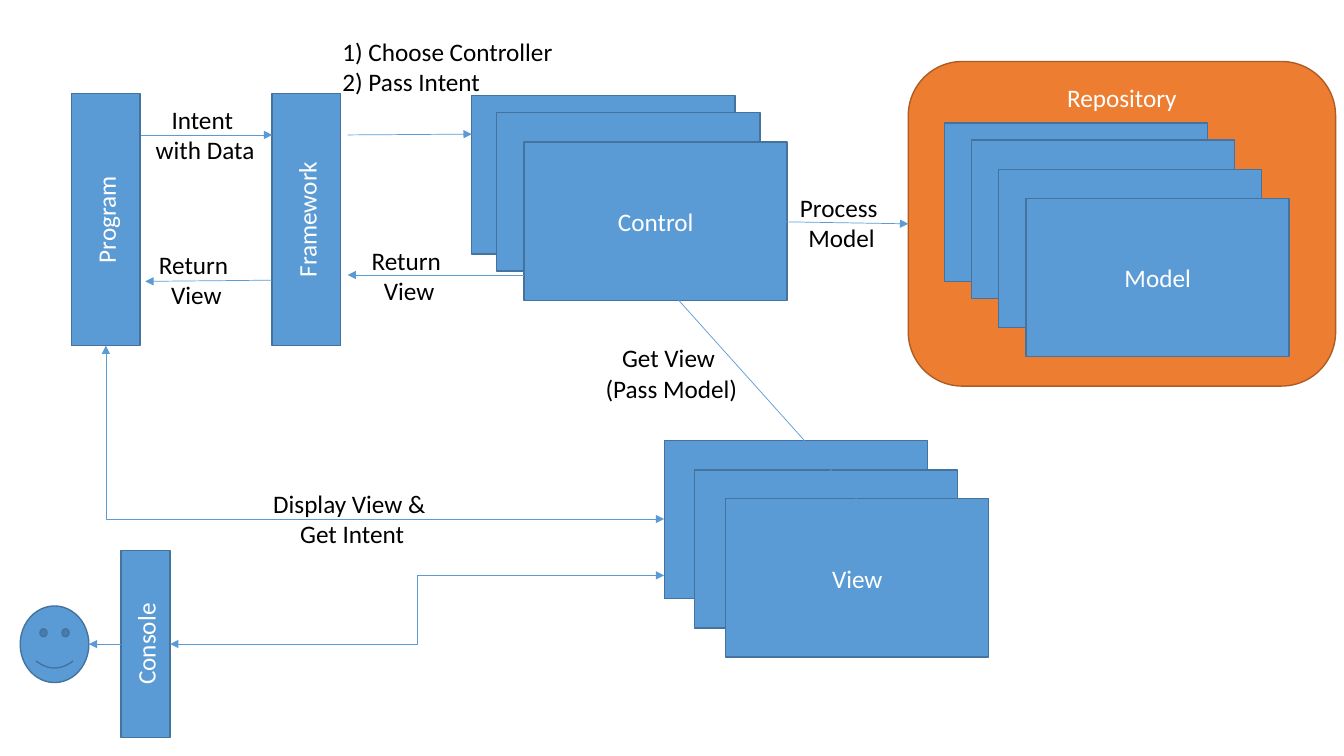
import pptx
import pptx.util
import pptx.dml.color
import pptx.enum.shapes
import pptx.enum.text
import pptx.oxml
import pptx.oxml.ns
from dataclasses import dataclass

Cm = pptx.util.Cm
SHAPES = pptx.enum.shapes.MSO_SHAPE
CONNECTORS = pptx.enum.shapes.MSO_CONNECTOR
ALIGN = pptx.enum.text.PP_ALIGN
ANCHOR = pptx.enum.text.MSO_ANCHOR


@dataclass(frozen=True)
class Theme:
    font: str = "Calibri"
    size: float = 18
    box: str = "5B9BD5"
    box_line: str = "43739E"
    repository: str = "ED7D31"
    repository_line: str = "AF5C24"
    light: str = "FFFFFF"
    dark: str = "000000"
    outline: float = 1
    arrow: float = 0.5


theme = Theme()

# Content; all lengths are in centimetres
repository = ("Repository", 22.89, 1.55, 10.77, 8.18)
bars = [  # label, left, top, width, height
    ("Program", 1.8, 2.36, 1.73, 6.35),
    ("Framework", 6.86, 2.36, 1.73, 6.35),
    ("Console", 3.05, 13.87, 1.24, 4.72),
]
user_face = (0.51, 15.27, 1.73, 1.93)
card_size = (6.63, 3.99)
stacks = {  # label of the front card, corners from back to front
    "Control": [(11.89, 2.41), (12.52, 2.84), (13.21, 3.58)],
    "Model": [(23.8, 3.1), (24.48, 3.53), (25.17, 4.27), (25.86, 5.0)],
    "View": [(16.74, 11.1), (17.5, 11.84), (18.29, 12.57)],
}
arrows = [  # start, end
    ((3.56, 3.4), (6.86, 3.4)),        # Program to Framework
    ((8.76, 3.4), (11.89, 3.38)),      # Framework to Control
    ((19.81, 5.59), (22.89, 5.64)),    # Control to Repository
    ((16.74, 7.16), (21.59, 12.57)),   # Control to View
    ((13.21, 6.93), (8.76, 6.93)),     # Control to Framework
    ((6.86, 7.06), (3.66, 7.09)),      # Framework to Program
    ((3.05, 16.23), (2.24, 16.23)),    # Console to user
]
elbows = [  # start, end, preset
    ((16.74, 13.08), (2.67, 8.71), "bentConnector2"),   # View and Program
    ((16.74, 14.5), (4.29, 16.23), "bentConnector3"),   # View and Console
]
label_height = 1.8
labels = [  # lines, left, top, width, alignment
    ("Intent \nwith Data", 3.66, 2.51, 3.02, ALIGN.CENTER),
    ("1) Choose Controller\n2) Pass Intent", 8.38, 0.79, 5.87, ALIGN.LEFT),
    ("Process \nModel", 19.89, 4.72, 2.64, ALIGN.CENTER),
    ("Get View \n(Pass Model)", 14.99, 8.51, 3.86, ALIGN.CENTER),
    ("Return \nView", 9.09, 6.05, 2.44, ALIGN.CENTER),
    ("Return \nView", 3.73, 6.15, 2.44, ALIGN.CENTER),
    ("Display View & \nGet Intent", 6.6, 12.17, 4.55, ALIGN.CENTER),
]


def rgb(value):
    return pptx.dml.color.RGBColor.from_string(value)


def write_text(shape, text, color=theme.light, align=ALIGN.CENTER,
               anchor=ANCHOR.MIDDLE, wrap=True, upward=False):
    frame = shape.text_frame
    frame.text = text
    frame.word_wrap = wrap
    frame.vertical_anchor = anchor
    if upward:
        shape._element.txBody.bodyPr.set("vert", "vert270")
    for paragraph in frame.paragraphs:
        paragraph.alignment = align
        font = paragraph.font
        font.name = theme.font
        font.size = pptx.util.Pt(theme.size)
        font.color.rgb = rgb(color)


def add_box(bounds, kind=SHAPES.RECTANGLE, fill=theme.box, line=theme.box_line):
    shape = slide.shapes.add_shape(kind, *map(Cm, bounds))
    shape.shadow.inherit = False
    shape.fill.solid()
    shape.fill.fore_color.rgb = rgb(fill)
    shape.line.color.rgb = rgb(line)
    shape.line.width = pptx.util.Pt(theme.outline)
    return shape


def add_arrow(start, end, preset="line", ends=("tailEnd",)):
    kind = CONNECTORS.STRAIGHT if preset == "line" else CONNECTORS.ELBOW
    connector = slide.shapes.add_connector(kind, *map(Cm, start + end))
    connector.line.color.rgb = rgb(theme.box)
    connector.line.width = pptx.util.Pt(theme.arrow)
    properties = connector._element.spPr
    properties.find(pptx.oxml.ns.qn("a:prstGeom")).set("prst", preset)
    outline = properties.find(pptx.oxml.ns.qn("a:ln"))
    namespace = pptx.oxml.ns.nsdecls("a")
    for name in ends:
        outline.append(pptx.oxml.parse_xml(f'<a:{name} {namespace} type="triangle"/>'))
    properties.append(pptx.oxml.parse_xml(f"<a:effectLst {namespace}/>"))


presentation = pptx.Presentation()
presentation.slide_width = Cm(33.87)
presentation.slide_height = Cm(19.05)
slide = presentation.slides.add_slide(presentation.slide_layouts[6])

# Repository panel
name, *bounds = repository
panel = add_box(bounds, SHAPES.ROUNDED_RECTANGLE, theme.repository, theme.repository_line)
write_text(panel, name, anchor=ANCHOR.TOP)

# Upright bars and the user
for name, *bounds in bars:
    write_text(add_box(bounds), name, upward=True)
add_box(user_face, SHAPES.SMILEY_FACE)

# Stacked cards, only the front one named
for name, corners in stacks.items():
    for corner in corners:
        card = add_box(corner + card_size)
    write_text(card, name)

# Arrows
for start, end in arrows:
    add_arrow(start, end)
for start, end, preset in elbows:
    add_arrow(start, end, preset, ends=("headEnd", "tailEnd"))

# Arrow labels
for text, left, top, width, align in labels:
    box = slide.shapes.add_textbox(*map(Cm, (left, top, width, label_height)))
    write_text(box, text, color=theme.dark, align=align, anchor=ANCHOR.TOP, wrap=False)

presentation.save("out.pptx")
